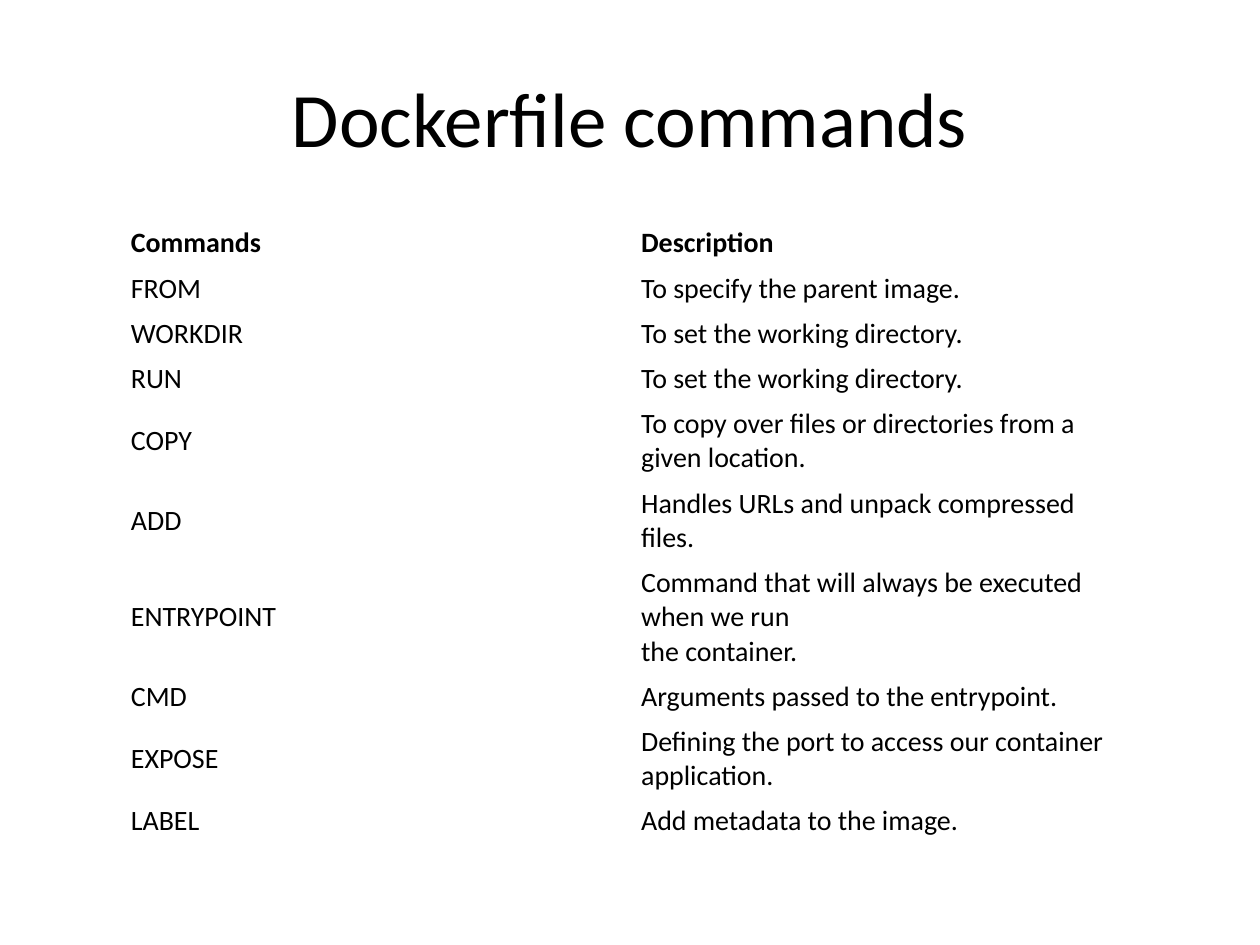
from pptx import Presentation
from pptx.dml.color import RGBColor
from pptx.enum.text import MSO_ANCHOR, PP_ALIGN
from pptx.util import Cm, Pt


def color(code):
    return RGBColor.from_string(code)


class Deck:
    font = "Calibri"
    ink = "000000"
    paper = "FFFFFF"
    base = 0.91  # height of a one-line row, cm
    step = 0.69  # height of each further line, cm

    def __init__(self, wide, high):
        self.prs = Presentation()
        self.prs.slide_width, self.prs.slide_height = Cm(wide), Cm(high)
        self.slide = self.prs.slides.add_slide(self.prs.slide_layouts[5])

    def run(self, para, text, size, bold=False):
        run = para.add_run()
        run.text = text
        run.font.name = self.font
        run.font.size = Pt(size)
        run.font.bold = bold
        run.font.color.rgb = color(self.ink)

    def title(self, text, left, top, wide, high):
        shape = self.slide.shapes.title
        shape.left, shape.top = Cm(left), Cm(top)
        shape.width, shape.height = Cm(wide), Cm(high)
        frame = shape.text_frame
        frame.vertical_anchor = MSO_ANCHOR.MIDDLE
        para = frame.paragraphs[0]
        para.alignment = PP_ALIGN.CENTER
        self.run(para, text, 44)

    def cell(self, cell, text, bold):
        cell.fill.solid()
        cell.fill.fore_color.rgb = color(self.paper)
        cell.vertical_anchor = MSO_ANCHOR.MIDDLE
        cell.margin_left = cell.margin_right = Cm(0.23)
        cell.margin_top = cell.margin_bottom = Cm(0.11)
        para = cell.text_frame.paragraphs[0]
        for i, part in enumerate(text.split("\n")):
            if i:
                para.add_line_break()
            self.run(para, part, 16, bold)

    def table(self, rows, left, top, wide):
        highs = [self.base + self.step * (lines - 1) for *_, lines in rows]
        table = self.slide.shapes.add_table(
            len(rows), 2, Cm(left), Cm(top), Cm(wide), Cm(sum(highs))).table
        for col in table.columns:
            col.width = Cm(wide / 2)
        for r, (name, note, _) in enumerate(rows):
            table.rows[r].height = Cm(highs[r])
            for c, text in enumerate((name, note)):
                self.cell(table.cell(r, c), text, r == 0)


# Command, description, lines of text in the row
ROWS = [
    ("Commands", "Description", 1),
    ("FROM", "To specify the parent image.", 1),
    ("WORKDIR", "To set the working directory.", 1),
    ("RUN", "To set the working directory.", 1),
    ("COPY", "To copy over files or directories from a given location.", 2),
    ("ADD", "Handles URLs and unpack compressed files.", 2),
    ("ENTRYPOINT",
     "Command that will always be executed when we run\nthe container.", 3),
    ("CMD", "Arguments passed to the entrypoint.", 1),
    ("EXPOSE", "Defining the port to access our container application.", 2),
    ("LABEL", "Add metadata to the image.", 1),
]


def main():
    deck = Deck(25.4, 19.05)

    # Heading
    deck.title("Dockerfile commands", 1.27, 0.76, 22.86, 3.18)

    # Command table
    deck.table(ROWS, 2.41, 4.45, 20.57)

    deck.prs.save("out.pptx")


if __name__ == "__main__":
    main()
